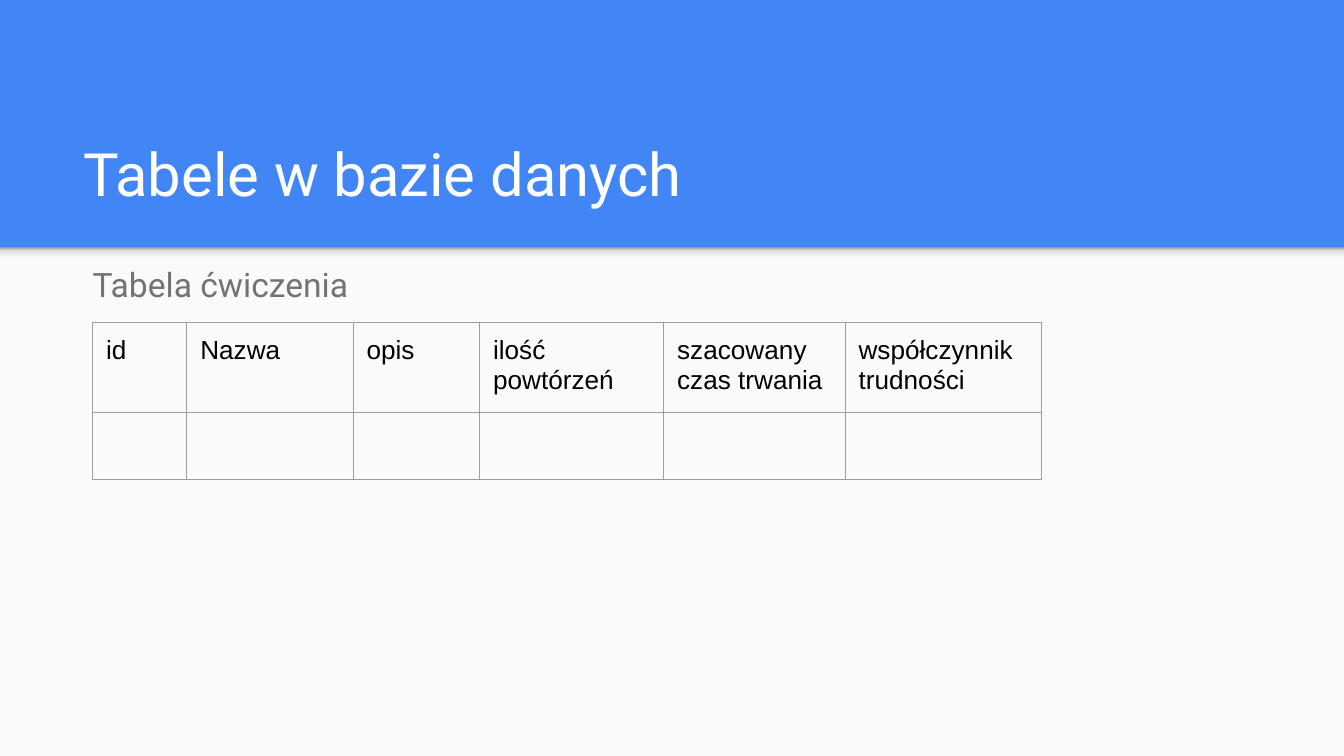
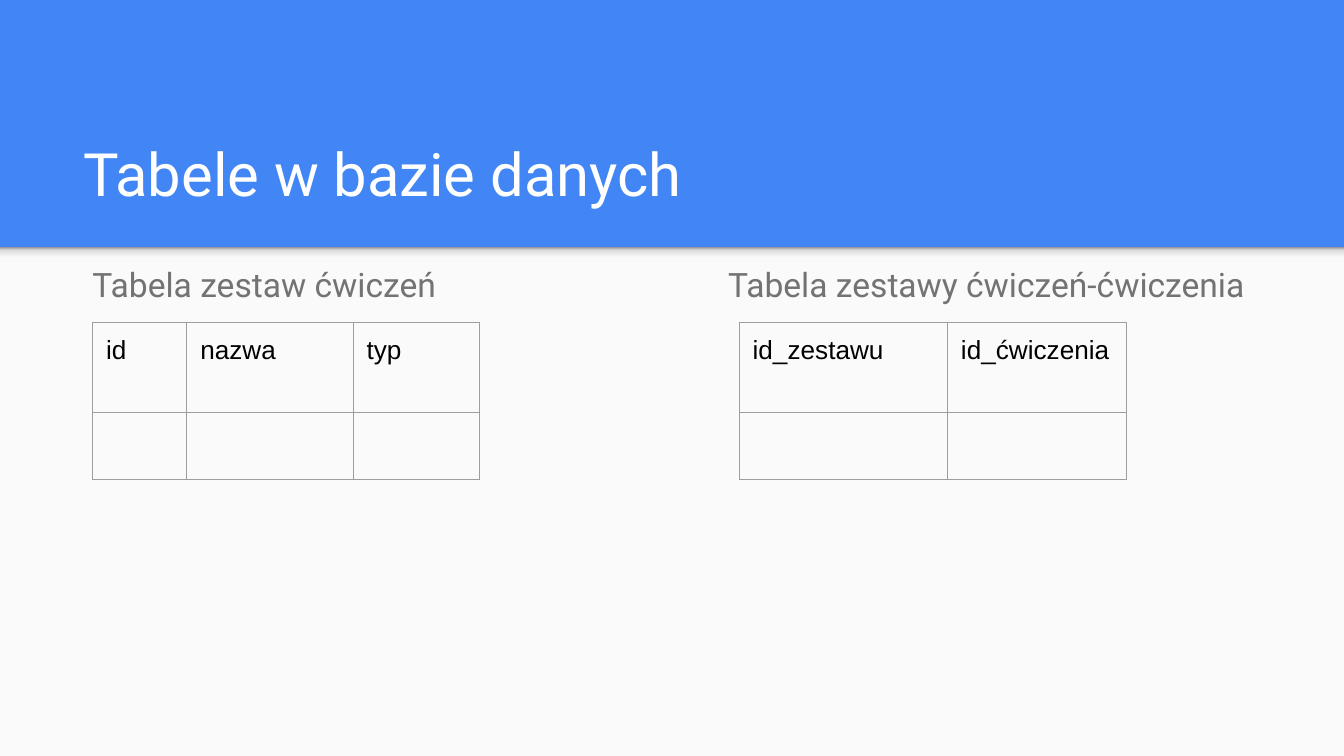
from collections import namedtuple

from lxml.etree import SubElement
from pptx import Presentation
from pptx.dml.color import RGBColor
from pptx.enum.shapes import MSO_SHAPE as Preset
from pptx.enum.text import MSO_ANCHOR as Anchor
from pptx.oxml.ns import qn
from pptx.util import Pt

Box = namedtuple("Box", "left top width height")

COLORS = {
    "blue": "4285F4",
    "paper": "FAFAFA",
    "white": "FFFFFF",
    "grey": "737373",
    "black": "000000",
    "border": "9E9E9E",
}
SHADOW_STOPS = {0: "F9F9F9", 36: "F9F9F9", 80: "DEDEDE", 100: "999999"}

TITLE_FONT = {"name": "Roboto", "size": Pt(32), "color": "white"}
CAPTION_FONT = {"name": "Roboto", "size": Pt(18), "color": "grey"}
CELL_FONT = {"name": "Arial", "size": Pt(14), "color": "black"}
CAPTION_SPACING = {"line_spacing": 1.15, "space_after": Pt(12)}
INSETS = {f"margin_{side}": Pt(7.2) for side in ("left", "right", "top", "bottom")}

PAGE = Box(0, 0, 720, 405)
BAND_HEIGHT = 132.5
SHADOW_HEIGHT = 8.6
TITLE = Box(37.4, 58.3, 647.3, 60.5)
CAPTION_TOP, CAPTION_HEIGHT = 131, 51.1
TABLE_TOP = 172.8
ROW_HEIGHTS = (48.2, 30.2)


def rgb(name):
    return RGBColor.from_string(COLORS[name])


def lengths(box):
    return [Pt(value) for value in box]


def set_values(target, values):
    for name, value in values.items():
        setattr(target, name, value)


def set_font(font, values):
    for name, value in values.items():
        if name == "color":
            font.color.rgb = rgb(value)
        else:
            setattr(font, name, value)


def add_text(page, box, text, font, anchor=Anchor.TOP, spacing=None):
    frame = page.shapes.add_textbox(*lengths(box)).text_frame
    set_values(frame, {"word_wrap": True, "vertical_anchor": anchor, **INSETS})
    para = frame.paragraphs[0]
    set_values(para, spacing or {})
    span = para.add_run()
    span.text = text
    set_font(span.font, font)


def add_panel(page, box):
    panel = page.shapes.add_shape(Preset.RECTANGLE, *lengths(box))
    panel.shadow.inherit = False
    panel.line.fill.background()
    return panel


def add_frame(page, box, title):
    # Light area below the blue band
    below = Box(box.left, box.top + BAND_HEIGHT, box.width, box.height - BAND_HEIGHT)
    paper = add_panel(page, below)
    paper.fill.solid()
    paper.fill.fore_color.rgb = rgb("paper")

    # Shadow under the band, darkest at its top
    shadow = add_panel(page, below._replace(height=SHADOW_HEIGHT))
    shadow.fill.gradient()
    shadow.fill.gradient_angle = 90
    stops = next(shadow.element.iter(qn("a:gsLst")))
    for stop in list(stops):
        stops.remove(stop)
    for position, color in SHADOW_STOPS.items():
        stop = SubElement(stops, qn("a:gs"), pos=str(position * 1000))
        SubElement(stop, qn("a:srgbClr"), val=color)

    # Title
    place = TITLE._replace(left=box.left + TITLE.left, top=box.top + TITLE.top)
    add_text(page, place, title, TITLE_FONT, Anchor.BOTTOM)


def set_borders(cell):
    properties = cell._tc.get_or_add_tcPr()
    for index, side in enumerate("LRTB"):
        line = SubElement(properties, qn(f"a:ln{side}"), w=str(Pt(0.75)))
        fill = SubElement(line, qn("a:solidFill"))
        SubElement(fill, qn("a:srgbClr"), val=COLORS["border"])
        properties.insert(index, line)


def fill_cell(cell, text):
    cell.fill.background()
    set_values(cell, INSETS)
    set_borders(cell)
    para = cell.text_frame.paragraphs[0]
    if text:
        span = para.add_run()
        span.text = text
        set_font(span.font, CELL_FONT)
    else:
        # An empty cell takes its height from the paragraph end mark
        mark = SubElement(para._p, qn("a:endParaRPr"), sz="1800")
        SubElement(mark, qn("a:latin"), typeface=CELL_FONT["name"])


def add_schema(page, left, columns):
    box = Box(left, TABLE_TOP, sum(columns.values()), sum(ROW_HEIGHTS))
    table = page.shapes.add_table(len(ROW_HEIGHTS), len(columns), *lengths(box)).table
    set_values(table, {"first_row": False, "horz_banding": False})
    for row, height in zip(table.rows, ROW_HEIGHTS):
        row.height = Pt(height)
    for index, (name, width) in enumerate(columns.items()):
        table.columns[index].width = Pt(width)
        fill_cell(table.cell(0, index), name)
        fill_cell(table.cell(1, index), "")


def add_section(page, left, width, caption, table_left, columns):
    box = Box(left, CAPTION_TOP, width, CAPTION_HEIGHT)
    add_text(page, box, caption, CAPTION_FONT, spacing=CAPTION_SPACING)
    add_schema(page, table_left, columns)


SLIDES = [
    [
        (42.5, 671, "Tabela ćwiczenia", 49.7, {
            "id": 50.4, "Nazwa": 89.1, "opis": 67.8, "ilość powtórzeń": 98.6,
            "szacowany czas trwania": 97.2, "współczynnik trudności": 105,
        }),
    ],
    [
        (42.5, 341.3, "Tabela zestaw ćwiczeń", 49.7,
         {"id": 50.4, "nazwa": 89.1, "typ": 67.8}),
        (383, 337, "Tabela zestawy ćwiczeń-ćwiczenia", 396,
         {"id_zestawu": 111.6, "id_ćwiczenia": 95.8}),
    ],
]


def main():
    deck = Presentation()
    deck.slide_width, deck.slide_height = Pt(PAGE.width), Pt(PAGE.height)
    backdrop = deck.slide_master.background.fill
    backdrop.solid()
    backdrop.fore_color.rgb = rgb("blue")
    for sections in SLIDES:
        page = deck.slides.add_slide(deck.slide_layouts[6])
        add_frame(page, PAGE, "Tabele w bazie danych")
        for section in sections:
            add_section(page, *section)
    deck.save("out.pptx")


if __name__ == "__main__":
    main()
